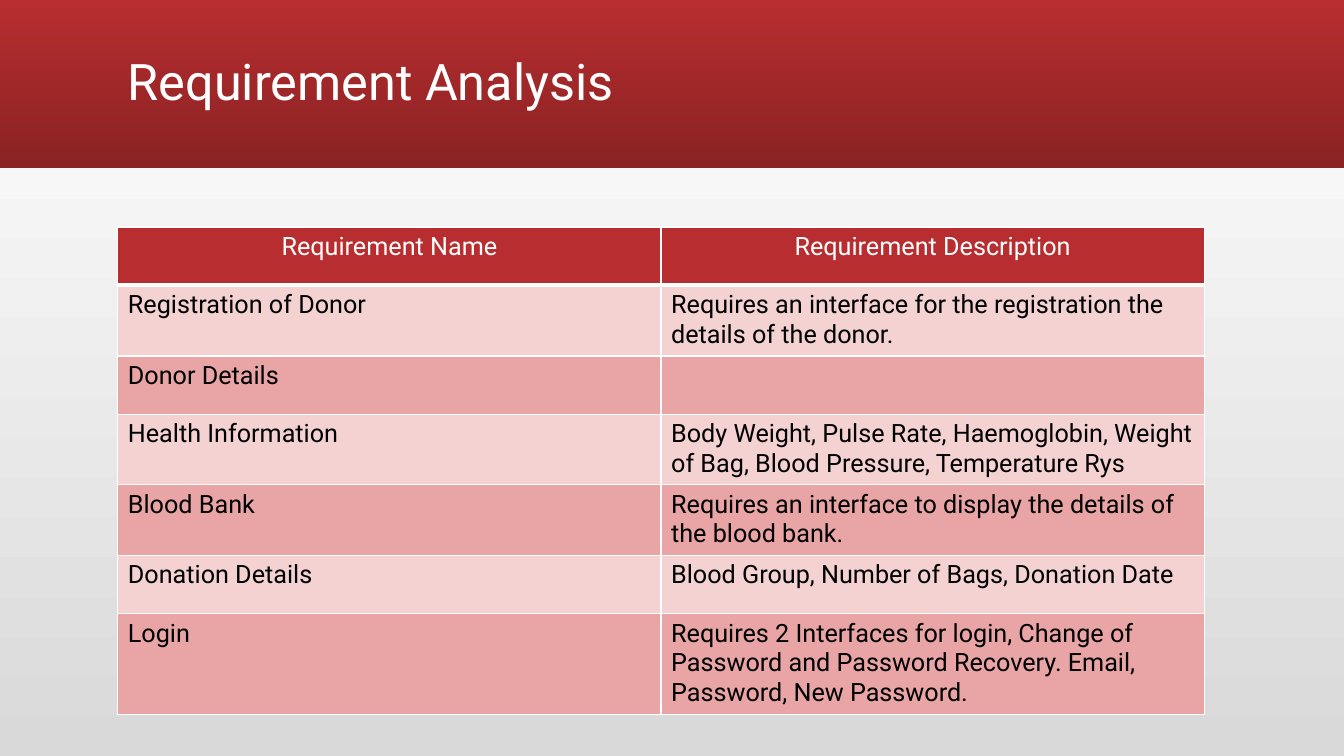
from lxml import etree
from pptx import Presentation
from pptx import util as u
from pptx.dml import color
from pptx.enum import shapes, text
from pptx.oxml import ns

FONT = "Roboto"
WHITE, BLACK, RED = "FFFFFF", "000000", "B82D2F"
BANDS = "F4D2D2", "E9A5A6"
HEAD = "Requirement Name", "Requirement Description"
NEEDS = [
    ("Registration of Donor",
     "Requires an interface for the registration the details of the donor."),
    ("Donor Details", ""),
    ("Health Information",
     "Body Weight, Pulse Rate, Haemoglobin, Weight of Bag, Blood Pressure, Temperature Rys"),
    ("Blood Bank",
     "Requires an interface to display the details of the blood bank."),
    ("Donation Details", "Blood Group, Number of Bags, Donation Date"),
    ("Login",
     "Requires 2 Interfaces for login, Change of Password and Password Recovery. "
     "Email, Password, New Password."),
]


def rgb(code):
    """Turn a hex string into a colour."""
    return color.RGBColor.from_string(code)


def write(frame, words, size=18, ink=BLACK, align=text.PP_ALIGN.LEFT, lead=None):
    """Put formatted words into the first paragraph of a text frame."""
    para = frame.paragraphs[0]
    para.alignment = align
    para.line_spacing = lead
    para.font.size = u.Pt(size)
    if words:
        run = para.add_run()
        run.text = words
        run.font.name = FONT
        run.font.size = u.Pt(size)
        run.font.color.rgb = rgb(ink)


def blend(fill, angle, *codes):
    """Give a fill a two-colour linear gradient."""
    fill.gradient()
    fill.gradient_angle = angle
    for stop, code in zip(fill.gradient_stops, codes):
        stop.color.rgb = rgb(code)


def add_band(slide, width):
    """Draw the shaded band across the top."""
    band = slide.shapes.add_shape(
        shapes.MSO_SHAPE.RECTANGLE, 0, 0, width, u.Cm(4.23))
    band.shadow.inherit = False
    band.line.fill.background()
    blend(band.fill, 270, RED, "8A2223")


def add_title(slide, words):
    """Place the slide title over the band."""
    box = slide.shapes.add_textbox(u.Cm(2.97), u.Cm(0.28), u.Cm(27.94), u.Cm(3.68))
    frame = box.text_frame
    frame.word_wrap = True
    frame.vertical_anchor = text.MSO_ANCHOR.MIDDLE
    write(frame, words, size=36, ink=WHITE, lead=0.9)


def edge(cell, **widths):
    """Draw white cell borders with widths in points by side."""
    props = cell._tc.get_or_add_tcPr()
    for spot, side in enumerate("LRTB"):
        line = etree.Element(ns.qn(f"a:ln{side}"), w=str(u.Pt(widths.get(side, 1))))
        fill = etree.SubElement(line, ns.qn("a:solidFill"))
        etree.SubElement(fill, ns.qn("a:srgbClr"), val=WHITE)
        props.insert(spot, line)


def paint(cell, words, fill, edges, **style):
    """Fill, border and write one table cell."""
    cell.fill.solid()
    cell.fill.fore_color.rgb = rgb(fill)
    edge(cell, **edges)
    write(cell.text_frame, words, **style)


def add_grid(slide):
    """Build the table of requirements."""
    rows = [HEAD, *NEEDS]
    high = u.Cm(1.47)
    grid = slide.shapes.add_table(
        len(rows), len(HEAD), u.Cm(2.97), u.Cm(5.72),
        u.Cm(27.38), high * len(rows)).table
    for r, row in enumerate(rows):
        grid.rows[r].height = high
        for c, words in enumerate(row):
            cell = grid.cell(r, c)
            if r == 0:
                paint(cell, words, RED, {"B": 3}, ink=WHITE,
                      align=text.PP_ALIGN.CENTER)
            else:
                paint(cell, words, BANDS[(r - 1) % 2], {"T": 3} if r == 1 else {})


def main():
    """Build and save the slide."""
    deck = Presentation()
    deck.slide_width, deck.slide_height = u.Cm(33.87), u.Cm(19.05)
    slide = deck.slides.add_slide(deck.slide_layouts[6])
    blend(slide.background.fill, 90, "D9D9D9", WHITE)
    add_band(slide, deck.slide_width)
    add_title(slide, "Requirement Analysis")
    add_grid(slide)
    deck.save("out.pptx")


if __name__ == "__main__":
    main()
